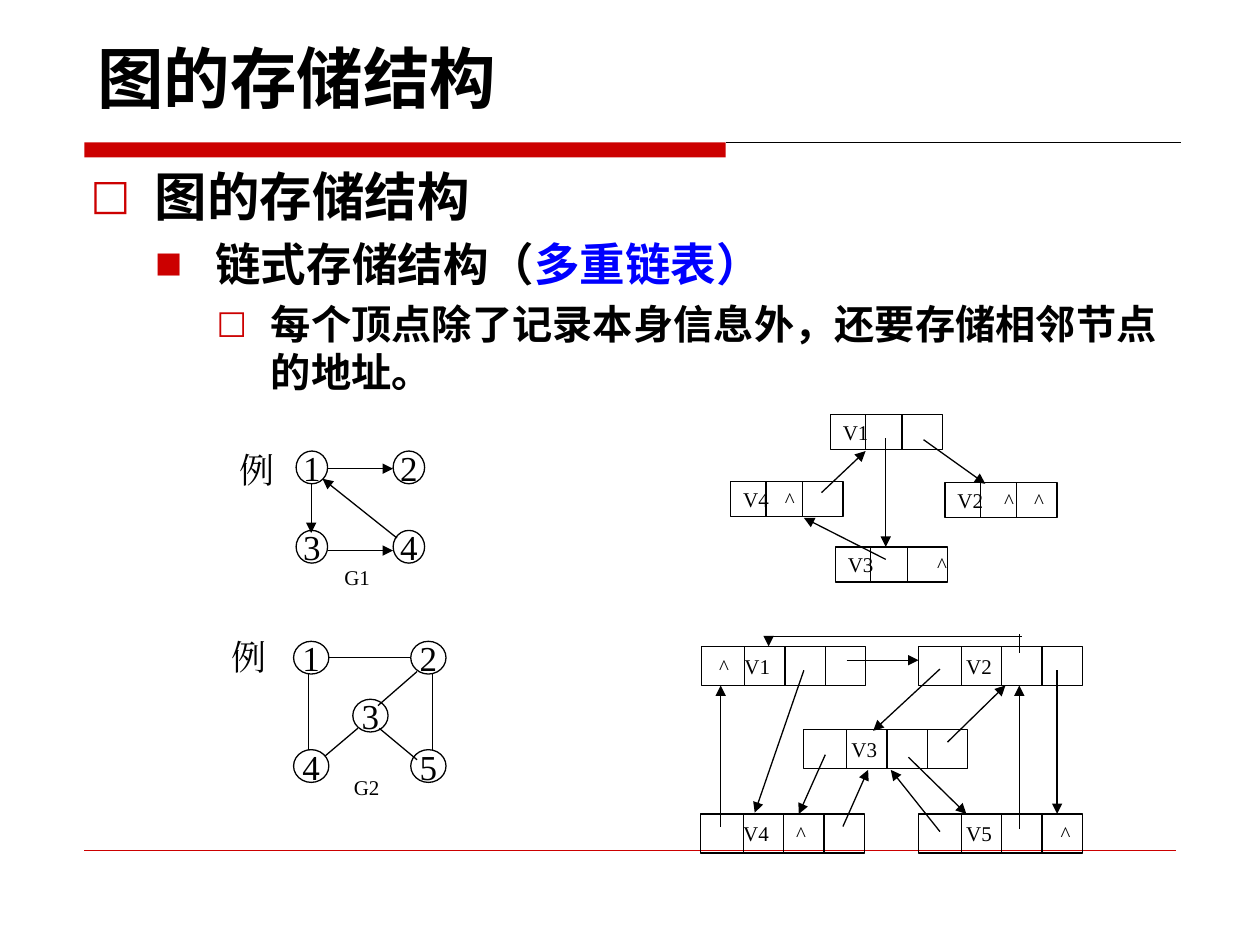
from dataclasses import dataclass

from lxml import etree
from pptx import Presentation
from pptx import util as u
from pptx.dml.color import RGBColor
from pptx.enum import shapes, text
from pptx.oxml import ns


@dataclass(frozen=True)
class Theme:
    black: str = "000000"
    red: str = "CC0000"
    blue: str = "0000FF"
    heading: str = "DejaVu Sans"
    accent: str = "Arial"
    diagram: str = "Times New Roman"
    title_size: int = 38
    body_sizes: tuple = (30, 26, 23)
    node_size: int = 20
    label_size: int = 12
    line_width: float = 0.75
    thin_width: float = 0.25


THEME = Theme()
RECORD_FORMS = {
    3: {"width": 0.89, "height": 0.28, "dividers": (0.28, 0.57)},
    4: {"width": 1.3, "height": 0.31, "dividers": (0.34, 0.66, 0.98)},
}


def apply_format(target, values):
    for name, value in values.items():
        setattr(target, name, value)


def add_element(parent, tag, **attributes):
    return etree.SubElement(parent, ns.qn(tag), attributes)


def add_run(paragraph, words, size, font=THEME.diagram, color=THEME.black, bold=False):
    run = paragraph.add_run()
    run.text = words
    apply_format(run.font, {"size": u.Pt(size), "name": font, "bold": bold})
    run.font.color.rgb = RGBColor.from_string(color)
    add_element(run.font._element, "a:ea", typeface=font)


def place(shape, left, top, width, height):
    apply_format(shape, {"left": u.Inches(left), "top": u.Inches(top),
                         "width": u.Inches(width), "height": u.Inches(height)})


def add_outline(slide, kind, left, top, width, height):
    shape = slide.shapes.add_shape(kind, *map(u.Inches, (left, top, width, height)))
    shape.shadow.inherit = False
    shape.fill.background()
    shape.line.color.rgb = RGBColor.from_string(THEME.black)
    shape.line.width = u.Pt(THEME.line_width)
    return shape


def add_line(slide, start, end, arrow=False, color=THEME.black, width=THEME.line_width):
    connector = slide.shapes.add_connector(
        shapes.MSO_CONNECTOR.STRAIGHT, *map(u.Inches, (*start, *end)))
    connector.line.color.rgb = RGBColor.from_string(color)
    connector.line.width = u.Pt(width)
    if arrow:
        add_element(connector.line._get_or_add_ln(), "a:tailEnd", type="triangle")
    add_element(connector._element.spPr, "a:effectLst")


def add_lines(slide, lines, arrow=False):
    for start, end in lines:
        add_line(slide, start, end, arrow)


def add_label(slide, words, size, left, top, width, height):
    box = slide.shapes.add_textbox(*map(u.Inches, (left, top, width, height)))
    apply_format(box.text_frame, {"word_wrap": True,
                                  "vertical_anchor": text.MSO_ANCHOR.MIDDLE})
    paragraph = box.text_frame.paragraphs[0]
    paragraph.alignment = text.PP_ALIGN.CENTER
    add_run(paragraph, words, size)


def add_vertex(slide, words, left, top, width):
    shape = add_outline(slide, shapes.MSO_SHAPE.OVAL, left, top, width, 0.26)
    apply_format(shape.text_frame, {
        "word_wrap": False, "vertical_anchor": text.MSO_ANCHOR.MIDDLE,
        "margin_left": 0, "margin_right": 0, "margin_top": 0, "margin_bottom": 0})
    paragraph = shape.text_frame.paragraphs[0]
    paragraph.alignment = text.PP_ALIGN.CENTER
    add_run(paragraph, words, THEME.node_size)


def add_record(slide, cells, left, top, words, tabs=()):
    form = RECORD_FORMS[cells]
    height = form["height"]
    shape = add_outline(slide, shapes.MSO_SHAPE.RECTANGLE, left, top, form["width"], height)
    apply_format(shape.text_frame, {"word_wrap": False,
                                    "vertical_anchor": text.MSO_ANCHOR.MIDDLE})
    paragraph = shape.text_frame.paragraphs[0]
    paragraph.alignment = text.PP_ALIGN.LEFT
    if tabs:
        tab_list = add_element(paragraph._p.get_or_add_pPr(), "a:tabLst")
        for position in tabs:
            add_element(tab_list, "a:tab", pos=str(u.Inches(position)), algn="l")
    add_run(paragraph, words, THEME.label_size)
    for offset in form["dividers"]:
        add_line(slide, (left + offset, top), (left + offset, top + height))


def add_title(slide):
    title = slide.shapes.title
    place(title, 0.67, 0.12, 6.56, 0.86)
    apply_format(title.text_frame, {"vertical_anchor": text.MSO_ANCHOR.BOTTOM,
                                    "auto_size": text.MSO_AUTO_SIZE.NONE})
    paragraph = title.text_frame.paragraphs[0]
    paragraph.alignment = text.PP_ALIGN.LEFT
    add_run(paragraph, "图的存储结构", THEME.title_size, THEME.heading, bold=True)


def add_body(slide):
    body = slide.placeholders[1]
    place(body, 0.62, 1.25, 8.75, 5.34)
    frame = body.text_frame
    frame.auto_size = text.MSO_AUTO_SIZE.NONE
    heading, accent = (THEME.heading, THEME.black), (THEME.accent, THEME.blue)
    items = [
        (0.51, 0.51, "□", 80, [("图的存储结构", heading)]),
        (0.99, 0.48, "■", 63, [("链式存储结构（", heading), ("多重链表）", accent)]),
        (1.43, 0.43, "□", 80,
         [("每个顶点除了记录本身信息外，还要存储相邻节点的地址。", heading)]),
    ]
    for level, (margin, hanging, bullet, percent, runs) in enumerate(items):
        paragraph = frame.add_paragraph() if level else frame.paragraphs[0]
        size = THEME.body_sizes[level]
        apply_format(paragraph, {"level": level,
                                 "space_before": u.Pt(round(size * 0.2) if level else 0)})
        properties = paragraph._p.get_or_add_pPr()
        properties.set("marL", str(u.Inches(margin)))
        properties.set("indent", str(-u.Inches(hanging)))
        add_element(add_element(properties, "a:buClr"), "a:srgbClr", val=THEME.red)
        add_element(properties, "a:buSzPct", val=str(percent * 1000))
        add_element(properties, "a:buFont", typeface=THEME.heading)
        add_element(properties, "a:buChar", char=bullet)
        for words, (font, color) in runs:
            add_run(paragraph, words, size, font, color, bold=True)


def add_rules(slide):
    bar = add_outline(slide, shapes.MSO_SHAPE.RECTANGLE, 0.67, 1.13, 5.09, 0.12)
    bar.fill.solid()
    bar.fill.fore_color.rgb = RGBColor.from_string(THEME.red)
    bar.line.fill.background()
    add_line(slide, (5.76, 1.13), (9.37, 1.13))
    add_line(slide, (0.67, 6.75), (9.33, 6.75), color=THEME.red, width=THEME.thin_width)


def add_directed_graph(slide):
    add_label(slide, "例", THEME.node_size, 1.8, 3.51, 0.35, 0.44)
    add_label(slide, "G1", THEME.label_size, 2.61, 4.43, 0.45, 0.3)
    for index in range(4):
        row, column = divmod(index, 2)
        add_vertex(slide, str(index + 1), 2.35 + 0.77 * column, 3.58 + 0.63 * row, 0.25)
    add_lines(slide, [((2.6, 3.72), (3.12, 3.72)), ((2.6, 4.37), (3.12, 4.37)),
                      ((2.47, 3.84), (2.47, 4.23)), ((3.15, 4.27), (2.56, 3.8))], arrow=True)


def add_undirected_graph(slide):
    add_label(slide, "例", THEME.node_size, 1.74, 4.99, 0.39, 0.44)
    add_label(slide, "G2", THEME.label_size, 2.69, 6.1, 0.44, 0.3)
    positions = [(2.33, 5.09), (3.26, 5.09), (2.8, 5.55), (2.33, 5.95), (3.26, 5.95)]
    for number, (left, top) in enumerate(positions, 1):
        add_vertex(slide, str(number), left, top, 0.28)
    add_lines(slide, [((2.61, 5.22), (3.26, 5.22)), ((2.45, 5.35), (2.45, 5.95)),
                      ((3.43, 5.35), (3.43, 5.95)), ((3.01, 5.78), (3.31, 6.03)),
                      ((3.31, 5.33), (3, 5.6)), ((2.84, 5.78), (2.58, 6))])


def add_directed_lists(slide):
    add_record(slide, 3, 6.59, 3.29, "V1")
    add_record(slide, 3, 7.5, 3.83, "V2\t^\t^", (0.37, 0.61))
    add_record(slide, 3, 5.8, 3.82, "V4\t^", (0.33,))
    add_record(slide, 3, 6.63, 4.34, "V3\t^", (0.71,))
    add_lines(slide, [((7.33, 3.49), (7.82, 3.84)), ((6.52, 3.91), (6.87, 3.58)),
                      ((7.03, 3.48), (7.03, 4.34)), ((7.03, 4.44), (6.38, 4.11))], arrow=True)


def add_undirected_lists(slide):
    add_record(slide, 4, 5.57, 5.13, "\t^\tV1", (0.04, 0.24))
    add_record(slide, 4, 7.29, 5.13, "\tV2", (0.28,))
    add_record(slide, 4, 5.56, 6.46, "\tV4\t^", (0.24, 0.66))
    add_record(slide, 4, 7.29, 6.46, "\tV5\t^", (0.28, 1.03))
    add_record(slide, 4, 6.38, 5.79, "\tV3", (0.28,))
    add_lines(slide, [((8.09, 5.18), (8.09, 5.03)), ((8.11, 5.05), (6.1, 5.05))])
    add_lines(slide, [
        ((6.1, 5.05), (6.1, 5.13)), ((6.38, 5.32), (5.99, 6.45)),
        ((6.72, 5.24), (7.29, 5.24)), ((7.46, 5.31), (6.93, 5.8)),
        ((8.39, 5.32), (8.39, 6.46)), ((7.52, 5.89), (7.98, 5.44)),
        ((7.21, 6.01), (7.67, 6.46)), ((6.55, 5.99), (6.34, 6.46)),
        ((5.72, 6.56), (5.72, 5.44)), ((6.69, 6.56), (6.89, 6.11)),
        ((8.09, 6.58), (8.09, 5.44)), ((7.46, 6.6), (7.07, 6.11))], arrow=True)


def main():
    presentation = Presentation()
    apply_format(presentation, {"slide_width": u.Inches(10), "slide_height": u.Inches(7.5)})
    slide = presentation.slides.add_slide(presentation.slide_layouts[1])
    for add_part in (add_rules, add_title, add_body, add_directed_graph,
                     add_directed_lists, add_undirected_graph, add_undirected_lists):
        add_part(slide)
    presentation.save("out.pptx")


if __name__ == "__main__":
    main()
